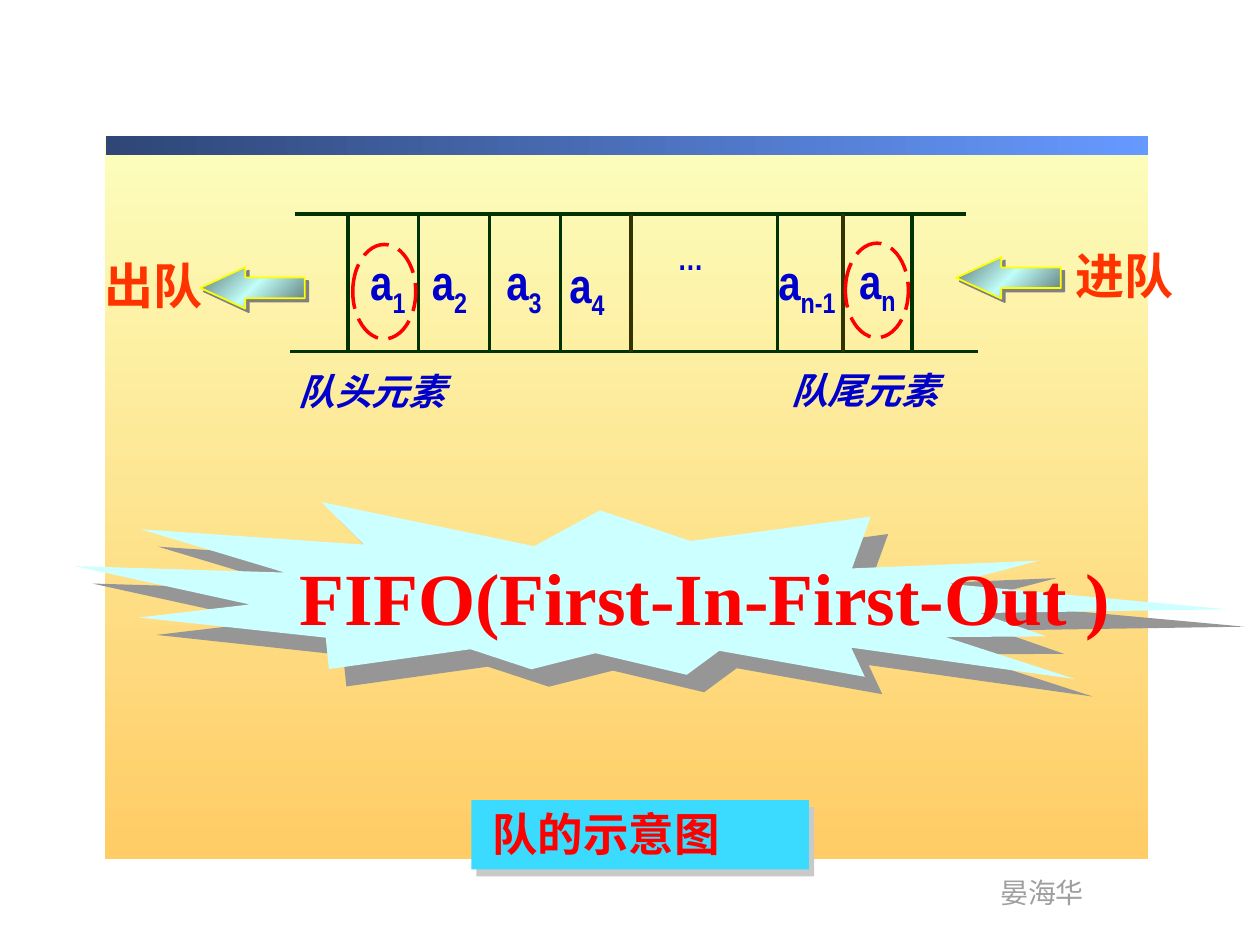
import pptx
import pptx.util
import pptx.dml.color
import pptx.enum.dml
import pptx.enum.shapes
import pptx.enum.text
import pptx.oxml
import pptx.oxml.ns
from pptx.util import Inches

SHAPE = pptx.enum.shapes.MSO_SHAPE
NS = pptx.oxml.ns.nsdecls("a")
BLUE, RED, GREEN, OLIVE = "0000CC", "FF0000", "003300", "333300"
ORANGE = "FF3300"


def rgb(value):
    return pptx.dml.color.RGBColor.from_string(value)


def shadow_effect(color, distance, angle):
    """Hard shadow; distance in points, angle in degrees."""
    return pptx.oxml.parse_xml(
        f'<a:effectLst {NS}><a:outerShdw dist="{round(distance * 12700)}" '
        f'dir="{angle * 60000}" algn="ctr" rotWithShape="0">'
        f'<a:srgbClr val="{color}"/></a:outerShdw></a:effectLst>')


def add_box(slide, kind, left, top, width, height, fill=None, angle=0,
            line=None, line_width=1, shadow=None):
    """Preset shape; a list of fill colours makes an even gradient."""
    box = slide.shapes.add_shape(kind, Inches(left), Inches(top),
                                 Inches(width), Inches(height))
    box.shadow.inherit = False
    properties = box.element.spPr
    if fill is None:
        box.fill.background()
    elif isinstance(fill, str):
        box.fill.solid()
        box.fill.fore_color.rgb = rgb(fill)
    else:
        stops = "".join(
            f'<a:gs pos="{i * 100000 // (len(fill) - 1)}"><a:srgbClr val="{c}"/></a:gs>'
            for i, c in enumerate(fill))
        geometry = properties.find(pptx.oxml.ns.qn("a:prstGeom"))
        geometry.addnext(pptx.oxml.parse_xml(
            f'<a:gradFill {NS} rotWithShape="1"><a:gsLst>{stops}</a:gsLst>'
            f'<a:lin ang="{angle * 60000}" scaled="0"/></a:gradFill>'))
    if line:
        box.line.color.rgb = rgb(line)
        box.line.width = pptx.util.Pt(line_width)
    else:
        box.line.fill.background()
    if shadow:
        plain = properties.find(pptx.oxml.ns.qn("a:effectLst"))
        properties.replace(plain, shadow_effect(*shadow))
    return box


def add_text(slide, left, top, width, height, runs, size, color, font="Arial Narrow",
             bold=True, italic=False, wrap=True, centered=False, shadow=None):
    """One line of text; each run is (text, is_subscript)."""
    label = slide.shapes.add_textbox(Inches(left), Inches(top),
                                     Inches(width), Inches(height))
    frame = label.text_frame
    frame.word_wrap = wrap
    paragraph = frame.paragraphs[0]
    if centered:
        paragraph.alignment = pptx.enum.text.PP_ALIGN.CENTER
    for words, subscript in runs:
        run = paragraph.add_run()
        run.text = words
        run.font.size = pptx.util.Pt(size)
        run.font.bold = bold
        run.font.italic = italic
        run.font.color.rgb = rgb(color)
        properties = run.font._element
        if shadow:
            properties.append(shadow_effect(*shadow))
        run.font.name = font
        if subscript:
            properties.set("baseline", "-25000")


def add_line(slide, x1, y1, x2, y2, color, width):
    line = slide.shapes.add_connector(pptx.enum.shapes.MSO_CONNECTOR.STRAIGHT,
                                      Inches(x1), Inches(y1), Inches(x2), Inches(y2))
    line.line.color.rgb = rgb(color)
    line.line.width = pptx.util.Pt(width)
    line.element.spPr.append(pptx.oxml.parse_xml(f"<a:effectLst {NS}/>"))


def draw_background(slide, left, top, width, height):
    add_box(slide, SHAPE.RECTANGLE, left, top, width, height, ["FCFEBC", "FFCC66"], 90)
    # Header bar
    add_box(slide, SHAPE.RECTANGLE, left + 0.01, top - 0.02, width - 0.01, 0.15,
            ["2F4676", "6699FF"])
    # Author in the footer
    add_text(slide, left + 7.01, top + 5.8, 0.87, 0.37, [("晏海华", False)], 16,
             "9F9F9F", bold=False, wrap=False)


def draw_queue(slide, left, top, width, height):
    bottom = top + height
    # Rails
    add_line(slide, left + 0.04, top, left + width - 0.09, top, GREEN, 2.25)
    add_line(slide, left, bottom, left + width, bottom, GREEN, 2.25)
    # Cell dividers: four equal cells, a gap, two end cells
    dividers = [(0.46 + 0.5625 * i, GREEN) for i in range(4)]
    dividers += [(2.71, OLIVE), (3.87, GREEN), (4.39, OLIVE), (4.94, GREEN)]
    for offset, color in dividers:
        add_line(slide, left + offset, top, left + offset, bottom, color, 2)
    # Elements
    elements = [("1", 0.54, 0.25, 0.53), ("2", 1.03, 0.25, 0.53),
                ("3", 1.62, 0.25, 0.53), ("4", 2.12, 0.27, 0.53),
                ("n-1", 3.78, 0.25, 0.76), ("n", 4.42, 0.24, 0.54)]
    for index, dx, dy, text_width in elements:
        add_text(slide, left + dx, top + dy, text_width, 0.57,
                 [("a", False), (index, True)], 28, BLUE, wrap=False)
    add_text(slide, left + 2.98, top + 0.15, 0.65, 0.63, [("…", False)], 18, BLUE,
             wrap=False)


def draw_end_mark(slide, left, top, caption):
    """Caption with a dashed ring around the element above it."""
    add_text(slide, left, top + 0.94, 1.83, 0.45, [(caption, False)], 21, BLUE,
             italic=True)
    ring = add_box(slide, SHAPE.OVAL, left + 0.53, top, 0.5, 0.75, line=RED, line_width=2)
    ring.line.dash_style = pptx.enum.dml.MSO_LINE.LONG_DASH


def draw_flow(slide, left, top, caption, caption_box, caption_shadow):
    """Left-pointing arrow and its caption."""
    arrow = add_box(slide, SHAPE.RIGHT_ARROW, left, top, 0.83, 0.33,
                    ["597573", "C1FEF9", "597573"], 315, "FFFF00", 1,
                    ("808080", 2.8, 45))
    arrow.adjustments[0] = 0.495
    arrow.adjustments[1] = 1.082
    arrow.element.spPr.xfrm.set("flipH", "1")
    add_text(slide, *caption_box, [(caption, False)], 28, ORANGE,
             shadow=(caption_shadow, 2.8, 45))


def draw_burst(slide, left, top, width, height):
    burst = add_box(slide, SHAPE.EXPLOSION2, left, top, width, height, "CCFFFF",
                    shadow=("969696", 14.1, 45))
    burst.rotation = 5
    add_text(slide, left + 0.82, top + 0.38, 8.37, 0.81,
             [("FIFO(First-In-First-Out )", False)], 42, RED, "Times New Roman",
             centered=True)


def draw_title(slide, left, top, width, height):
    add_box(slide, SHAPE.RECTANGLE, left, top, width, height, "3BDAFF",
            shadow=("C9C9C9", 5, 53))
    add_text(slide, left + 0.07, top, 3.47, 0.53, [("队的示意图", False)], 26, RED,
             shadow=("000000", 2.8, 45))


def main():
    deck = pptx.Presentation()
    deck.slide_width, deck.slide_height = Inches(10), Inches(7.5)
    slide = deck.slides.add_slide(deck.slide_layouts[6])
    draw_background(slide, 0.83, 1.1, 8.28, 5.72)
    draw_queue(slide, 2.3, 1.7, 5.46, 1.09)
    draw_flow(slide, 1.59, 2.12, "出队", (0.73, 1.98, 1.36, 0.57), "000000")
    draw_flow(slide, 7.59, 2.04, "进队", (8.44, 1.9, 1.28, 0.57), "00A0A0")
    draw_end_mark(slide, 2.27, 1.94, "队头元素")
    draw_end_mark(slide, 6.18, 1.93, "队尾元素")
    draw_burst(slide, 0.59, 3.95, 9.14, 1.58)
    draw_title(slide, 3.74, 6.35, 2.68, 0.55)
    deck.save("out.pptx")


if __name__ == "__main__":
    main()
